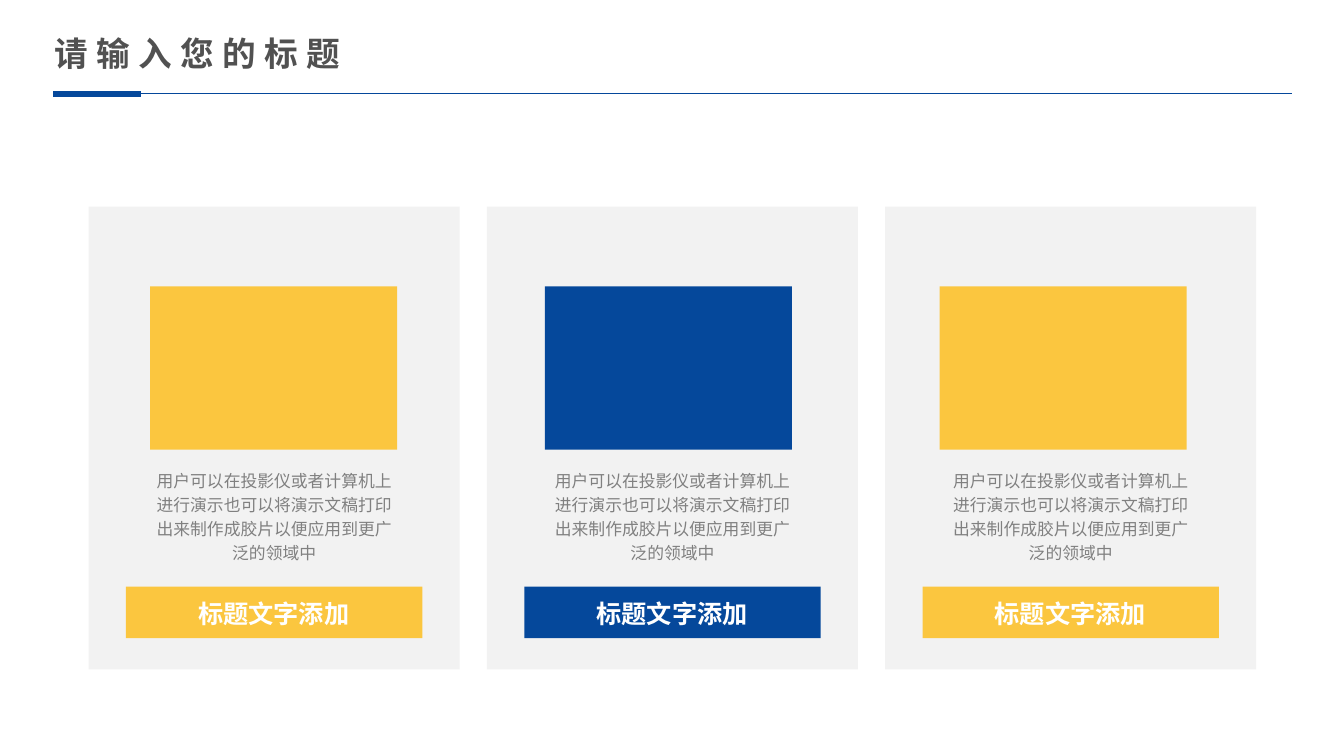
from lxml import etree
from pptx import Presentation
from pptx.dml.color import RGBColor
from pptx.enum.shapes import MSO_CONNECTOR, MSO_SHAPE
from pptx.enum.text import MSO_ANCHOR, MSO_AUTO_SIZE, PP_ALIGN
from pptx.oxml.ns import qn
from pptx.util import Inches, Pt

RECTANGLE = MSO_SHAPE.RECTANGLE
STRAIGHT = MSO_CONNECTOR.STRAIGHT
TOP = MSO_ANCHOR.TOP
NO_FIT = MSO_AUTO_SIZE.NONE
LEFT, CENTER = PP_ALIGN.LEFT, PP_ALIGN.CENTER

BLUE = RGBColor(0x05, 0x48, 0x9B)
YELLOW = RGBColor(0xFB, 0xC6, 0x3F)
PALE = RGBColor(0xF2, 0xF2, 0xF2)
WHITE = RGBColor(0xFF, 0xFF, 0xFF)
GRAY = RGBColor(0x80, 0x80, 0x80)
DARK = RGBColor(0x51, 0x51, 0x51)
FONT = "Noto Sans CJK SC"

TITLE = "请输入您的标题"
BODY = "用户可以在投影仪或者计算机上进行演示也可以将演示文稿打印出来制作成胶片以便应用到更广泛的领域中"
LABEL = "标题文字添加"

CARD_LEFT, CARD_PITCH = 0.88, 3.95
PANEL_LEFT, PANEL_PITCH = 1.49, 3.915
RULE_Y = 0.93


def add_block(left, top, width, height, color):
    block = page.shapes.add_shape(
        RECTANGLE, Inches(left), Inches(top), Inches(width), Inches(height))
    block.shadow.inherit = False
    block.fill.solid()
    block.fill.fore_color.rgb = color
    block.line.fill.background()


def write_text(box, text, align, spacing, color, style):
    frame = box.text_frame
    frame.word_wrap = True
    frame.auto_size = NO_FIT
    frame.vertical_anchor = TOP
    para = frame.paragraphs[0]
    para.alignment = align
    para.line_spacing = spacing
    span = para.add_run()
    span.text = text
    for name, value in style.items():
        setattr(span.font, name, value)
    span.font.color.rgb = color
    east_asian = etree.SubElement(span.font._element, qn("a:ea"))
    east_asian.set("typeface", FONT)
    return span


deck = Presentation()
deck.slide_width, deck.slide_height = Inches(13.33), Inches(7.5)
page = deck.slides.add_slide(deck.slide_layouts[5])

title = page.shapes.title
title.left, title.top = Inches(0.44), Inches(0.28)
title.width, title.height = Inches(3.5), Inches(0.5)
title_span = write_text(title, TITLE, LEFT, 1.0, DARK,
                        {"name": FONT, "size": Pt(24), "bold": True})
title_span.font._element.set("spc", "600")

for start, end, weight in ((0.53, 1.4, 4.5), (1.4, 12.81, 0.5)):
    rule = page.shapes.add_connector(
        STRAIGHT, Inches(start), Inches(RULE_Y), Inches(end), Inches(RULE_Y))
    rule.line.color.rgb = BLUE
    rule.line.width = Pt(weight)
    etree.SubElement(rule._element.spPr, qn("a:effectLst"))

for column, accent in enumerate((YELLOW, BLUE, YELLOW)):
    left = CARD_LEFT + column * CARD_PITCH
    add_block(left, 2.05, 3.68, 4.59, PALE)
    add_block(left + 0.37, 5.82, 2.94, 0.51, accent)
    add_block(PANEL_LEFT + column * PANEL_PITCH, 2.84, 2.45, 1.62, accent)

    body = page.shapes.add_textbox(
        Inches(left + 0.5), Inches(4.58), Inches(2.68), Inches(1.05))
    write_text(body, BODY, CENTER, 1.2, GRAY, {"name": FONT, "size": Pt(12)})

    label = page.shapes.add_textbox(
        Inches(left + 0.61), Inches(5.83), Inches(2.45), Inches(0.44))
    write_text(label, LABEL, CENTER, 1.2, WHITE,
               {"name": FONT, "size": Pt(18), "bold": True})

deck.save("out.pptx")
